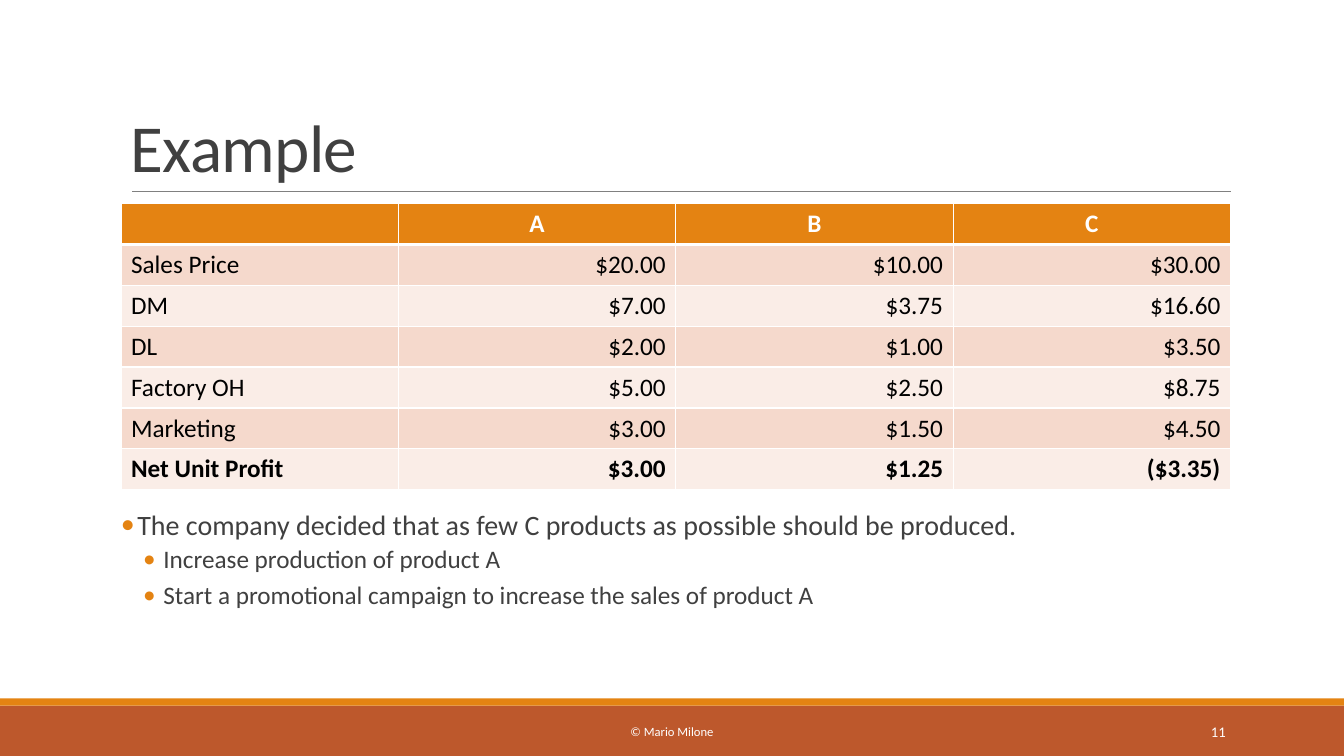
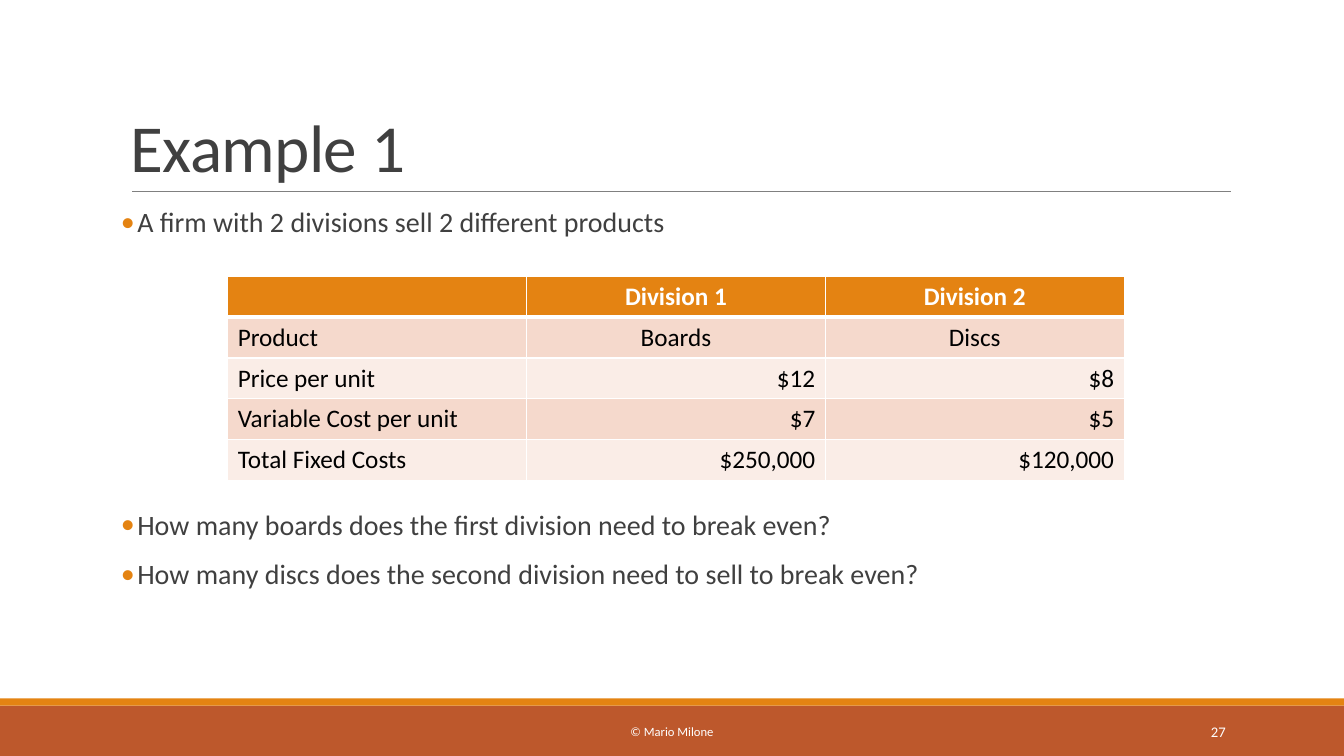
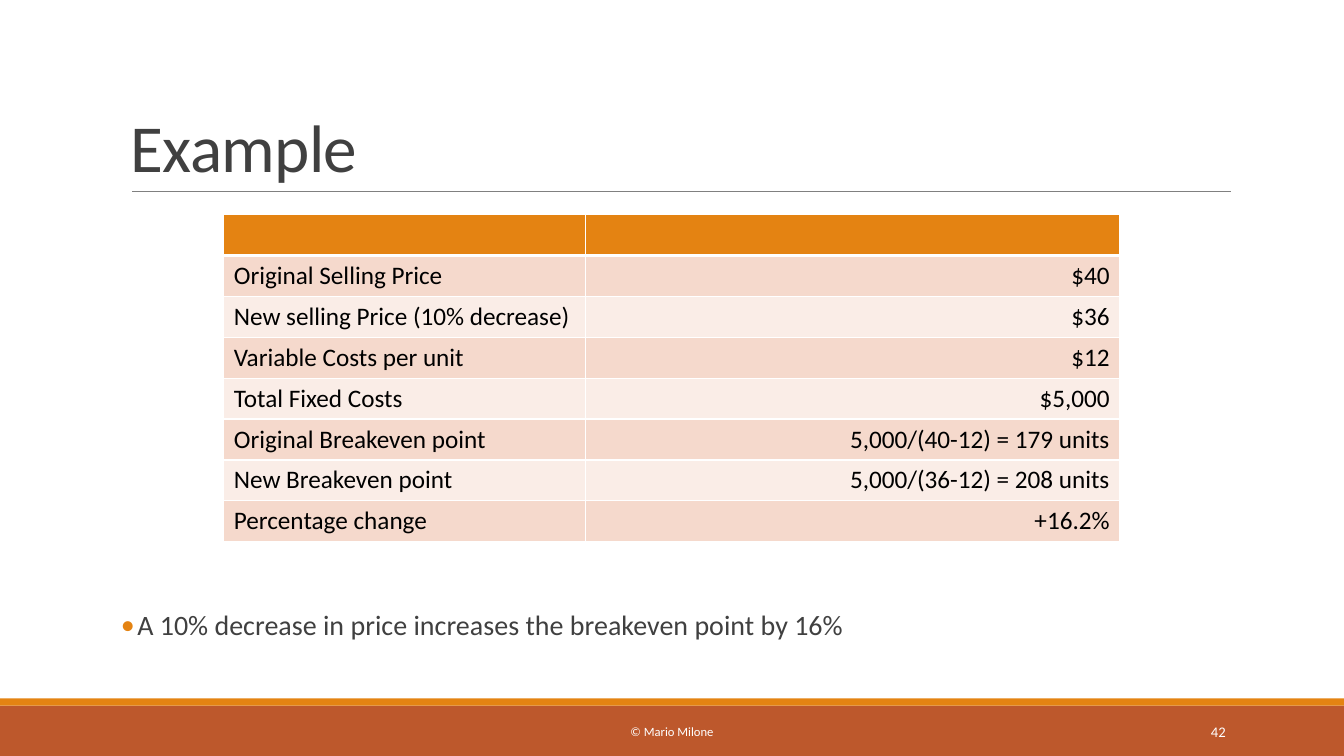
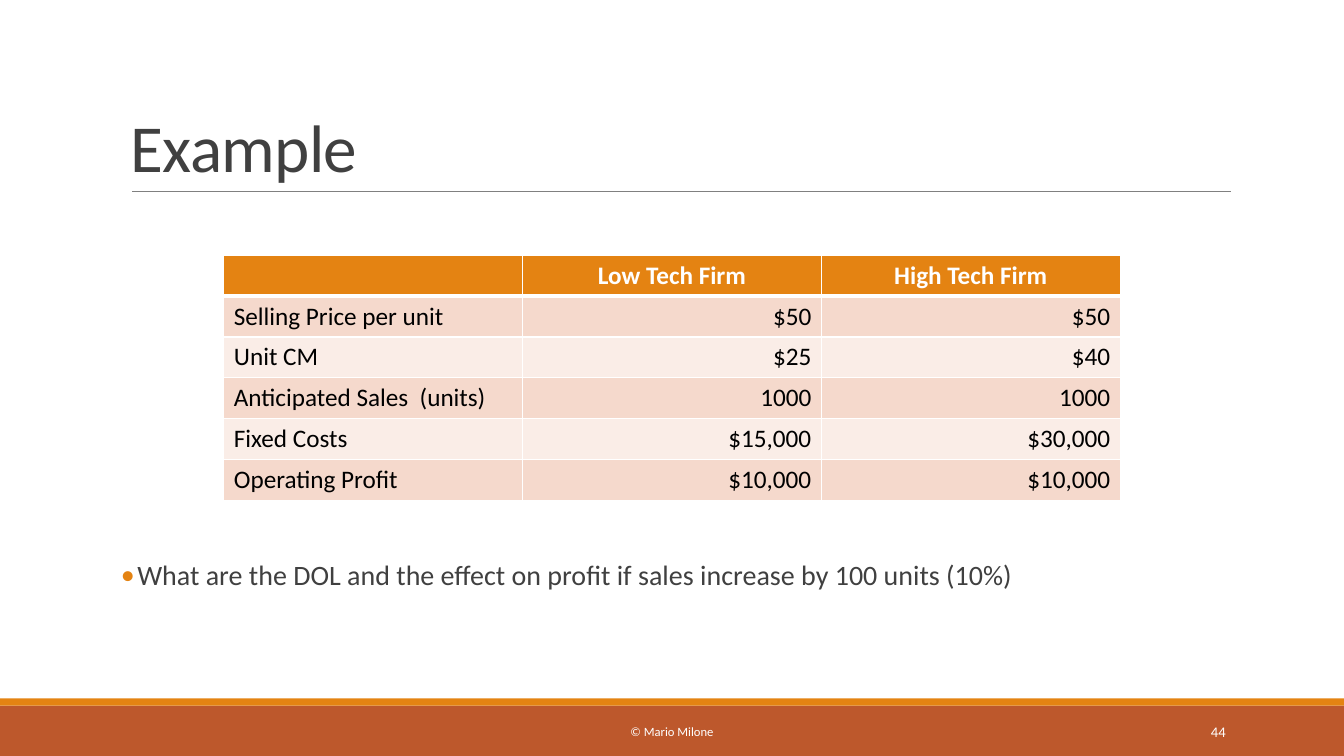
"""Build four cost and breakeven example slides with tables and bullets."""
from typing import NamedTuple

from lxml.etree import SubElement
from pptx import Presentation
from pptx.dml.color import RGBColor
from pptx.enum.shapes import MSO_CONNECTOR, MSO_SHAPE
from pptx.enum.text import MSO_ANCHOR as Anchor, PP_ALIGN as Align
from pptx.oxml.ns import qn
from pptx.slide import Slide
from pptx.util import Cm, Pt

ORANGE = RGBColor(0xE4, 0x83, 0x12)
RUST = RGBColor(0xBD, 0x58, 0x2C)
ROSE = RGBColor(0xF5, 0xD9, 0xCC)
PALE_ROSE = RGBColor(0xFA, 0xED, 0xE7)
DARK_GRAY = RGBColor(0x40, 0x40, 0x40)
MID_GRAY = RGBColor(0x80, 0x80, 0x80)
BLACK = RGBColor(0, 0, 0)
WHITE = RGBColor(0xFF, 0xFF, 0xFF)

FONT = "Calibri"
SLIDE_WIDTH, SLIDE_HEIGHT = 33.87, 19.05
BODY_LEFT, BODY_TOP, BODY_WIDTH, BODY_BOTTOM = 3.05, 5.13, 27.94, 16.31
BULLET_PITCH = 1.27
ROW_HEIGHT = 1.03


class Area(NamedTuple):
    left: float
    top: float
    width: float
    height: float


class Row(NamedTuple):
    label: str
    values: list[str]
    align: Align = Align.RIGHT
    bold: bool = False


class Grid(NamedTuple):
    left: float
    top: float
    columns: list[float]
    headings: list[str]
    rows: list[Row]


class Bullet(NamedTuple):
    text: str
    level: int = 0


class BulletGroup(NamedTuple):
    line: int
    bullets: list[Bullet]


class Page(NamedTuple):
    title: str
    number: int
    grid: Grid
    groups: list[BulletGroup]


class BulletStyle(NamedTuple):
    size: float
    margin: float
    hanging: float
    before: float
    after: float


BULLET_STYLES = [BulletStyle(20, 0.41, 0.41, 12, 2), BulletStyle(18, 1.07, 0.51, 2, 4)]

PAGES = [
    Page("Example", 11, Grid(BODY_LEFT, BODY_TOP, [6.99] * 4, ["A", "B", "C"], [
        Row("Sales Price", ["$20.00", "$10.00", "$30.00"]),
        Row("DM", ["$7.00", "$3.75", "$16.60"]),
        Row("DL", ["$2.00", "$1.00", "$3.50"]),
        Row("Factory OH", ["$5.00", "$2.50", "$8.75"]),
        Row("Marketing", ["$3.00", "$1.50", "$4.50"]),
        Row("Net Unit Profit", ["$3.00", "$1.25", "($3.35)"], bold=True),
    ]), [BulletGroup(6, [
        Bullet("The company decided that as few C products as possible should be produced."),
        Bullet("Increase production of product A", 1),
        Bullet("Start a promotional campaign to increase the sales of product A", 1),
    ])]),
    Page("Example 1", 27, Grid(5.74, 6.96, [7.53] * 3, ["Division 1", "Division 2"], [
        Row("Product", ["Boards", "Discs"], Align.CENTER),
        Row("Price per unit", ["$12", "$8"]),
        Row("Variable Cost per unit", ["$7", "$5"]),
        Row("Total Fixed Costs", ["$250,000", "$120,000"]),
    ]), [
        BulletGroup(0, [Bullet("A firm with 2 divisions sell 2 different products")]),
        BulletGroup(6, [
            Bullet("How many boards does the first division need to break even?"),
            Bullet("How many discs does the second division need to sell to break even?"),
        ]),
    ]),
    Page("Example", 42, Grid(5.64, 5.41, [9.12, 13.46], [""], [
        Row("Original Selling Price", ["$40"]),
        Row("New selling Price (10% decrease)", ["$36"]),
        Row("Variable Costs per unit", ["$12"]),
        Row("Total Fixed Costs", ["$5,000"]),
        Row("Original Breakeven point", ["5,000/(40-12) = 179 units"]),
        Row("New Breakeven point", ["5,000/(36-12) = 208 units"]),
        Row("Percentage change", ["+16.2%"]),
    ]), [BulletGroup(8, [
        Bullet("A 10% decrease in price increases the breakeven point by 16%"),
    ])]),
    Page("Example", 44, Grid(5.64, 6.43, [7.53] * 3, ["Low Tech Firm", "High Tech Firm"], [
        Row("Selling Price per unit", ["$50", "$50"]),
        Row("Unit CM", ["$25", "$40"]),
        Row("Anticipated Sales  (units)", ["1000", "1000"]),
        Row("Fixed Costs", ["$15,000", "$30,000"]),
        Row("Operating Profit", ["$10,000", "$10,000"]),
    ]), [BulletGroup(7, [
        Bullet("What are the DOL and the effect on profit if sales increase by 100 units (10%)"),
    ])]),
]


def write(para, text: str, *, size: float, color: RGBColor, bold: bool = False,
          align: Align = Align.LEFT, line_spacing: float = 1.0, tracking: int = 0) -> None:
    para.alignment = align
    para.line_spacing = line_spacing
    if not text:
        return
    span = para.add_run()
    span.text = text
    span.font.name = FONT
    span.font.size = Pt(size)
    span.font.bold = bold
    span.font.color.rgb = color
    if tracking:
        span.font._element.set("spc", str(tracking))


def add_frame(slide: Slide, area: Area, anchor: Anchor = Anchor.TOP):
    box = slide.shapes.add_textbox(*map(Cm, area))
    frame = box.text_frame
    frame.word_wrap = True
    frame.vertical_anchor = anchor
    return frame


def add_band(slide: Slide, area: Area, color: RGBColor) -> None:
    band = slide.shapes.add_shape(MSO_SHAPE.RECTANGLE, *map(Cm, area))
    band.shadow.inherit = False
    band.fill.solid()
    band.fill.fore_color.rgb = color
    band.line.fill.background()


def add_shared_parts(slide: Slide, title: str, number: int) -> None:
    add_band(slide, Area(0, 17.78, SLIDE_WIDTH, 1.27), RUST)
    add_band(slide, Area(0, 17.6, SLIDE_WIDTH, 0.18), ORANGE)
    rule = slide.shapes.add_connector(
        MSO_CONNECTOR.STRAIGHT, Cm(3.33), Cm(4.83), Cm(31.01), Cm(4.83))
    rule.line.color.rgb = MID_GRAY
    rule.line.width = Pt(0.5)
    SubElement(rule._element.spPr, qn("a:effectLst"))
    heading = add_frame(slide, Area(BODY_LEFT, 0.79, BODY_WIDTH, 4.04), Anchor.BOTTOM)
    write(heading.paragraphs[0], title, size=48, color=DARK_GRAY,
          line_spacing=0.85, tracking=-50)
    footer = add_frame(slide, Area(10.24, 17.93, 13.39, 1.02), Anchor.MIDDLE)
    write(footer.paragraphs[0], "© Mario Milone", size=9, color=WHITE, align=Align.CENTER)
    counter = add_frame(slide, Area(27.51, 17.93, 3.63, 1.02), Anchor.MIDDLE)
    write(counter.paragraphs[0], str(number), size=10.5, color=WHITE, align=Align.RIGHT)


def set_bullet(para, style: BulletStyle) -> None:
    para.space_before = Pt(style.before)
    para.space_after = Pt(style.after)
    props = para._p.get_or_add_pPr()
    props.set("marL", str(Cm(style.margin)))
    props.set("indent", str(-Cm(style.hanging)))
    color = SubElement(props, qn("a:buClr"))
    SubElement(color, qn("a:srgbClr"), val=str(ORANGE))
    SubElement(props, qn("a:buFont"), typeface=FONT)
    SubElement(props, qn("a:buChar"), char="•")


def add_bullets(slide: Slide, group: BulletGroup) -> None:
    top = BODY_TOP + group.line * BULLET_PITCH
    frame = add_frame(slide, Area(BODY_LEFT, top, BODY_WIDTH, BODY_BOTTOM - top))
    frame.margin_left = frame.margin_right = 0
    for index, bullet in enumerate(group.bullets):
        para = frame.add_paragraph() if index else frame.paragraphs[0]
        style = BULLET_STYLES[bullet.level]
        write(para, bullet.text, size=style.size, color=DARK_GRAY, line_spacing=0.9)
        set_bullet(para, style)


def set_borders(cell, row_index: int) -> None:
    props = cell._tc.get_or_add_tcPr()
    top = 3 if row_index == 1 else 1
    bottom = 3 if row_index == 0 else 1
    for side, width in (("L", 1), ("R", 1), ("T", top), ("B", bottom)):
        edge = SubElement(props, qn(f"a:ln{side}"), w=str(Pt(width)))
        fill = SubElement(edge, qn("a:solidFill"))
        SubElement(fill, qn("a:srgbClr"), val=str(WHITE))


def add_grid(slide: Slide, grid: Grid) -> None:
    rows = [Row("", grid.headings, Align.CENTER, True), *grid.rows]
    area = Area(grid.left, grid.top, sum(grid.columns), ROW_HEIGHT * len(rows))
    table = slide.shapes.add_table(len(rows), len(grid.columns), *map(Cm, area)).table
    table.first_row = table.horz_banding = False
    for column, width in zip(table.columns, grid.columns):
        column.width = Cm(width)
    for row_index, row in enumerate(rows):
        table.rows[row_index].height = Cm(ROW_HEIGHT)
        band = ROSE if row_index % 2 else PALE_ROSE
        for column_index, text in enumerate([row.label, *row.values]):
            cell = table.cell(row_index, column_index)
            set_borders(cell, row_index)
            cell.fill.solid()
            cell.fill.fore_color.rgb = band if row_index else ORANGE
            write(cell.text_frame.paragraphs[0], text, size=18, bold=row.bold,
                  color=BLACK if row_index else WHITE,
                  align=row.align if column_index else Align.LEFT)


def main() -> None:
    deck = Presentation()
    deck.slide_width = Cm(SLIDE_WIDTH)
    deck.slide_height = Cm(SLIDE_HEIGHT)
    for page in PAGES:
        slide = deck.slides.add_slide(deck.slide_layouts[6])
        add_shared_parts(slide, page.title, page.number)
        for group in page.groups:
            add_bullets(slide, group)
        add_grid(slide, page.grid)
    deck.save("out.pptx")


if __name__ == "__main__":
    main()
